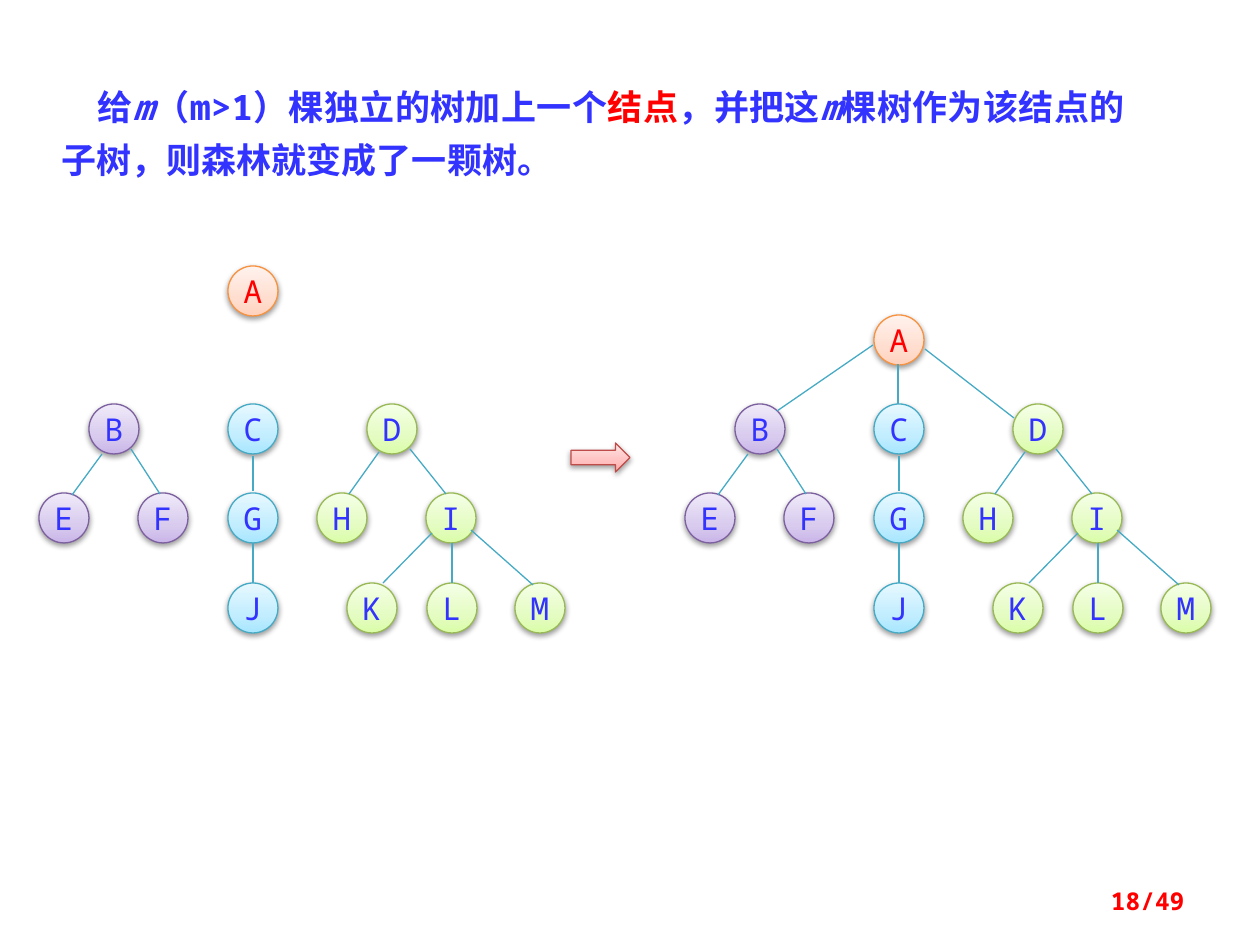
from copy import deepcopy

from lxml import etree
from pptx import Presentation
from pptx.dml.color import RGBColor
from pptx.enum.shapes import MSO_CONNECTOR, MSO_SHAPE
from pptx.enum.text import MSO_ANCHOR, PP_ALIGN
from pptx.oxml.ns import qn
from pptx.util import Emu, Pt

OVAL, ARROW = MSO_SHAPE.OVAL, MSO_SHAPE.RIGHT_ARROW
LINE = MSO_CONNECTOR.STRAIGHT
MIDDLE = MSO_ANCHOR.MIDDLE
CENTER, RIGHT, JUSTIFY = PP_ALIGN.CENTER, PP_ALIGN.RIGHT, PP_ALIGN.JUSTIFY

FONT = "Noto Sans Mono"
BLUE, RED, TEAL = "3333FF", "FF0000", "46AAC5"
SCALE = 914400 / 126
SIZE = 50   # node diameter
SHIFT = 646  # from the forest to the joined tree

# line colour, then gradient stops from bottom to top
ORANGE = ("F69240", "FFD2BD", "FFDED0", "FFF2ED")
PURPLE = ("7D60A0", "C9B5E8", "D8CBEE", "F0EAF9")
CYAN = (TEAL, "A7E6FF", "C1EDFF", "E7F8FF")
GREEN = ("98B955", "DAFDA7", "E4FCC2", "F5FFE7")
PINK = ("BF4C48", "FFA6A5", "FFC0BF", "FFE7E7")


def px(*vals):
    return [Emu(round(v * SCALE)) for v in vals]


def paint(shape, theme):
    """Give a shape its outline, three-stop gradient and soft shadow."""
    edge, *tints = [RGBColor.from_string(c) for c in theme]
    shape.line.color.rgb = edge
    shape.line.width = Pt(0.75)
    shape.fill.gradient()
    shape.fill.gradient_angle = 90
    props = shape._element.spPr
    stops = props.find(".//" + qn("a:gsLst"))
    stops.append(deepcopy(stops[-1]))
    for stop, pos, tint in zip(shape.fill.gradient_stops, (0, 0.35, 1), tints):
        stop.position = pos
        stop.color.rgb = tint
    shape.shadow.inherit = False
    glow = etree.SubElement(props.find(qn("a:effectLst")), qn("a:outerShdw"),
                            blurRad="40000", dist="20000", dir="5400000", rotWithShape="0")
    shade = etree.SubElement(glow, qn("a:srgbClr"), val="000000")
    etree.SubElement(shade, qn("a:alpha"), val="38000")


deck = Presentation()
deck.slide_width, deck.slide_height = px(1260, 945)
slide = deck.slides.add_slide(deck.slide_layouts[6])
shapes = slide.shapes

# Statement
box = shapes.add_textbox(*px(49, 69, 1088, 113))
box.text_frame.word_wrap = True
para = box.text_frame.paragraphs[0]
para.alignment = JUSTIFY
para.line_spacing = Pt(30)
para._p.get_or_add_pPr().set("indent", str(px(36)[0]))
para.font.name = FONT
para.font.size = Pt(20)
para.font.bold = True
for text, color, slant in [
    ("给", BLUE, False),
    ("m", BLUE, True),
    ("（m>1）棵独立的树加上一个", BLUE, False),
    ("结点", RED, False),
    ("，并把这", BLUE, False),
    ("m", BLUE, True),
    ("棵树作为该结点的子树，则森林就变成了一颗树。", BLUE, False),
]:
    run = para.add_run()
    run.text = text
    run.font.italic = slant
    run.font.color.rgb = RGBColor.from_string(color)

# Forest on the left, joined tree on the right
ROWS = (404, 493, 583)
nodes = [
    ("B", 89, 0, PURPLE), ("C", 228, 0, CYAN), ("D", 367, 0, GREEN),
    ("E", 39, 1, PURPLE), ("F", 138, 1, PURPLE), ("G", 228, 1, CYAN),
    ("H", 317, 1, GREEN), ("I", 426, 1, GREEN), ("J", 228, 2, CYAN),
    ("K", 347, 2, GREEN), ("L", 427, 2, GREEN), ("M", 515, 2, GREEN),
]
edges = [
    (102, 454, 72, 495), (131, 449, 160, 494),
    (253, 456, 253, 491), (253, 543, 253, 583),
    (379, 452, 349, 494), (410, 449, 446, 494),
    (432, 533, 383, 583), (452, 543, 452, 583), (471, 530, 533, 585),
]
joins = [(227, 345, 131, 411), (252, 364, 252, 404), (279, 349, 368, 418)]

tree = shapes.add_group_shape().shapes
for area, shift, top, links in [(shapes, 0, 266, edges),
                                (tree, SHIFT, 315, edges + joins)]:
    spots = [("A", 228, top, ORANGE)]
    spots += [(name, x, ROWS[row], theme) for name, x, row, theme in nodes]
    for name, x, y, theme in spots:
        node = area.add_shape(OVAL, *px(x + shift, y, SIZE, SIZE))
        paint(node, theme)
        frame = node.text_frame
        frame.word_wrap = False
        frame.vertical_anchor = MIDDLE
        para = frame.paragraphs[0]
        para.text = name
        para.alignment = CENTER
        para.font.name = FONT
        para.font.size = Pt(18)
        para.font.color.rgb = RGBColor.from_string(RED if name == "A" else BLUE)
    for x1, y1, x2, y2 in links:
        link = area.add_connector(LINE, *px(x1 + shift, y1, x2 + shift, y2))
        link.line.color.rgb = RGBColor.from_string(TEAL)
        link.line.width = Pt(0.75)
        etree.SubElement(link._element.spPr, qn("a:effectLst"))

paint(shapes.add_shape(ARROW, *px(571, 443, 59, 29)), PINK)

# Page number
box = shapes.add_textbox(*px(903, 876, 294, 50))
box.text_frame.word_wrap = True
box.text_frame.vertical_anchor = MIDDLE
para = box.text_frame.paragraphs[0]
para.text = "18/49"
para.alignment = RIGHT
para.font.name = FONT
para.font.size = Pt(14)
para.font.bold = True
para.font.color.rgb = RGBColor.from_string(RED)

deck.save("out.pptx")
